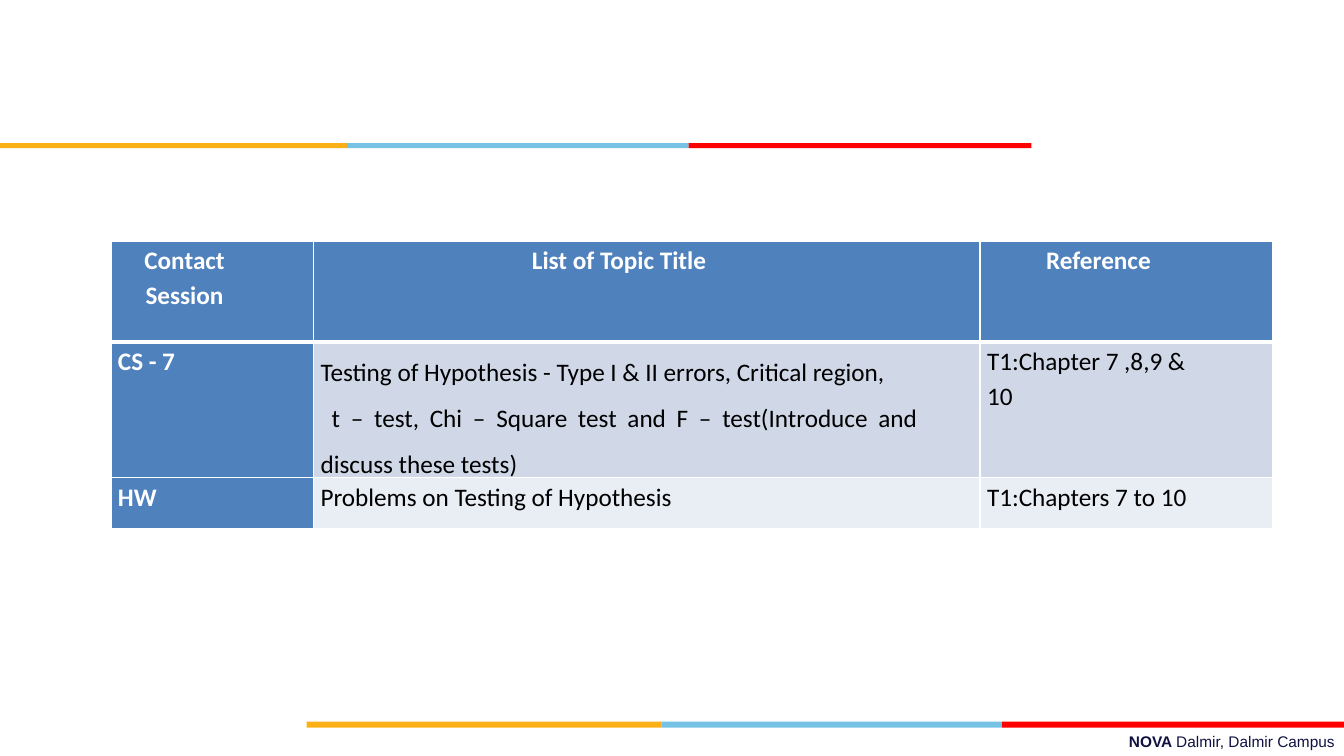
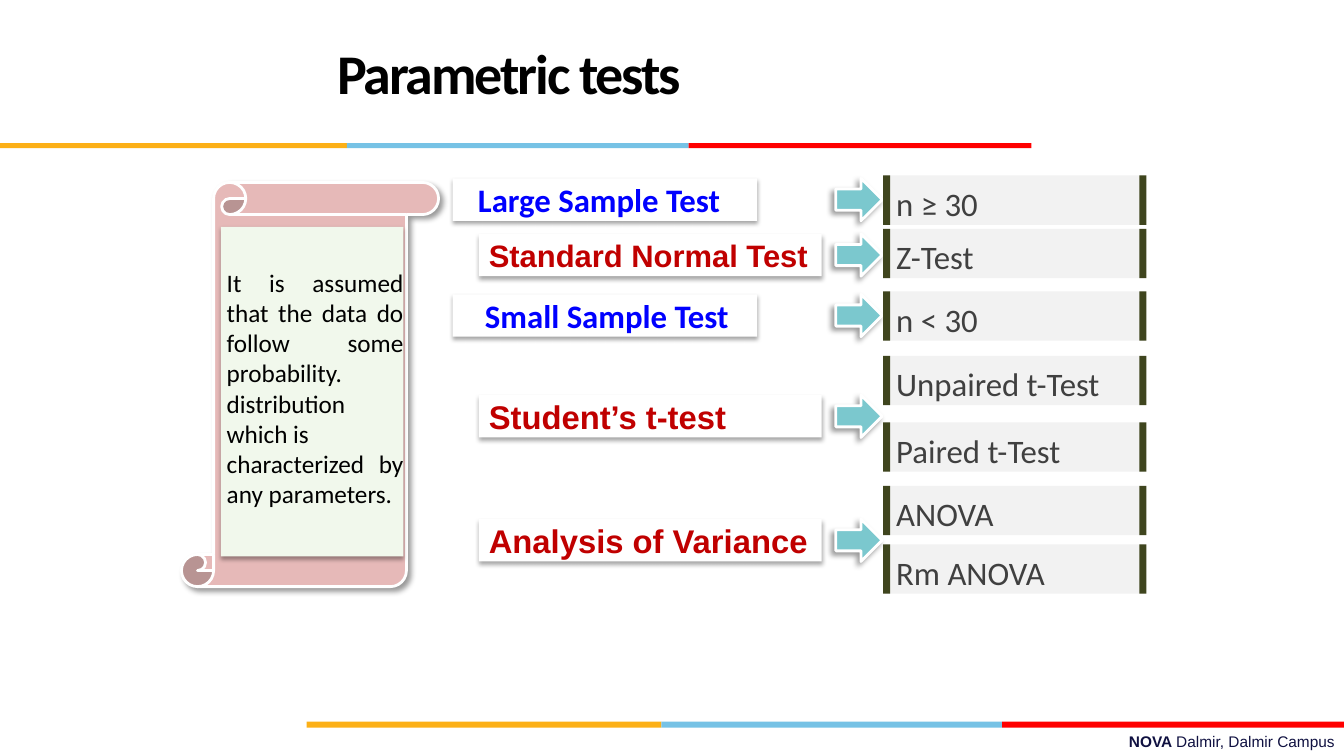
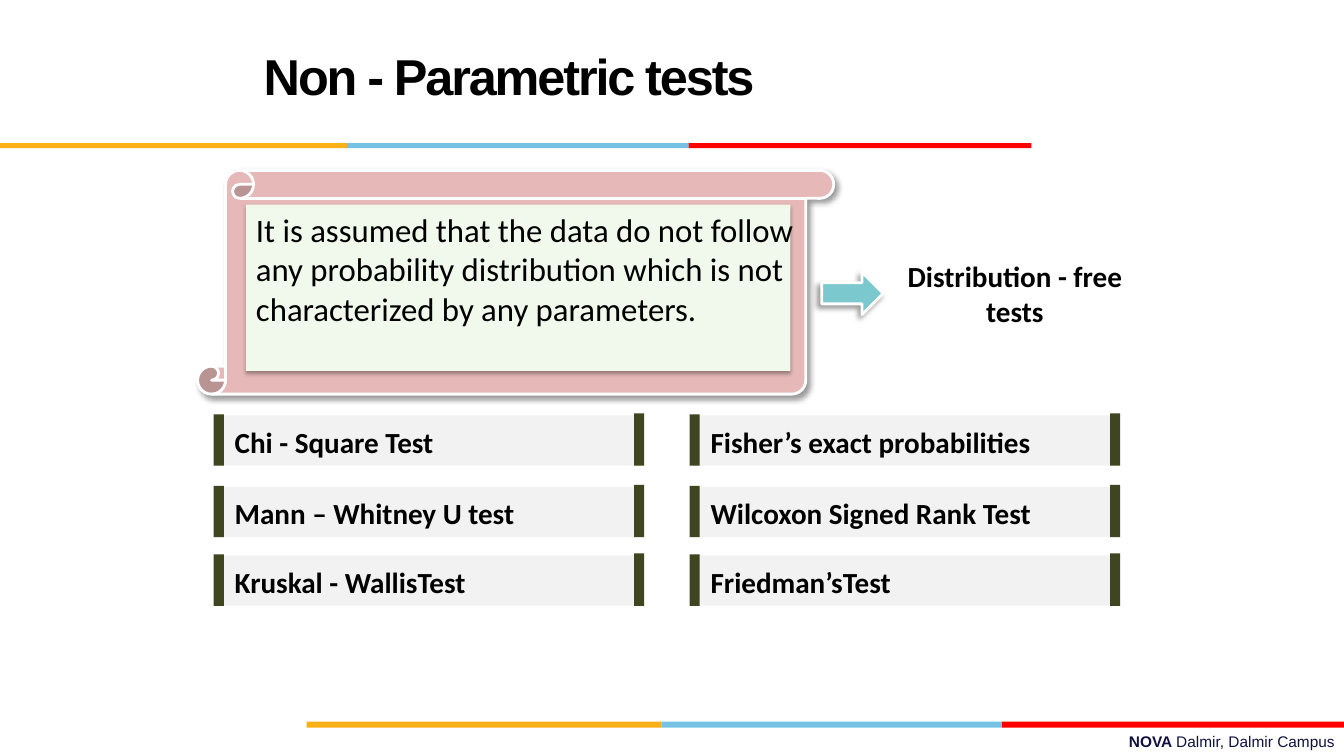
"""Build three slides on testing of hypotheses."""
from dataclasses import dataclass

from lxml import etree
from pptx import Presentation
from pptx.dml.color import RGBColor
from pptx.enum.shapes import MSO_SHAPE
from pptx.enum.text import MSO_ANCHOR, PP_ALIGN
from pptx.oxml.ns import qn
from pptx.util import Pt

EMU_PER_PX = 9144
RECT = MSO_SHAPE.RECTANGLE
PANEL = MSO_SHAPE.ROUND_2_DIAG_RECTANGLE
ARROW = MSO_SHAPE.RIGHT_ARROW
SCROLL = MSO_SHAPE.VERTICAL_SCROLL
TOP, MIDDLE = MSO_ANCHOR.TOP, MSO_ANCHOR.MIDDLE
LEFT, CENTER, RIGHT, JUSTIFY = (
    PP_ALIGN.LEFT, PP_ALIGN.CENTER, PP_ALIGN.RIGHT, PP_ALIGN.JUSTIFY)


@dataclass(frozen=True)
class Theme:
    """Colours, fonts and type sizes of the deck."""
    white: str = "FFFFFF"
    black: str = "000000"
    grey: str = "404040"
    navy: str = "101141"
    blue: str = "0000FF"
    crimson: str = "C00000"
    bands: tuple = ("FCB017", "76C2E5", "FF0000")
    header: str = "4F81BD"
    rows: tuple = ("D0D8E8", "E9EDF4")
    arrow: str = "7BC8CE"
    scroll: str = "E6B9B8"
    panel: str = "F1F8EC"
    card: str = "F2F2F2"
    card_bar: str = "3F451E"
    sans: str = "Arial"
    body: str = "Calibri"
    footer_size: float = 11
    text_size: float = 18
    strong_size: float = 20.8
    label_small: float = 22.1
    label_size: float = 23.4


T = Theme()


@dataclass(frozen=True)
class Style:
    """Font settings of a run."""
    size: float
    color: str = T.black
    bold: bool = False
    font: str = T.body
    spacing: int = 0


@dataclass(frozen=True)
class Card:
    """Measures of a grey card with a dark bar at each end."""
    width: int
    height: int
    bar: int
    rise: int
    text_dx: int
    text_dy: int
    style: Style


CELL = Style(T.text_size)
CELL_HEAD = Style(T.text_size, T.white, True)
BODY = Style(T.label_size)
STRONG = Style(T.strong_size, bold=True)
SAMPLE = Style(T.label_size, T.blue, True)
TEST = Style(T.label_size, T.crimson, True, T.sans)
TEST_SMALL = Style(T.label_small, T.crimson, True, T.sans)
SMALL_CARD = Card(261, 49, 7, 0, 3, 3, Style(T.label_size, T.grey))
WIDE_CARD = Card(427, 50, 10, 1, 11, 4, STRONG)

PANEL_SHADOW = (35, 3.1, 1.8, 90)
ARROW_SHADOW = (40, 4, 3, 135)
SCROLL_SHADOW = (40, 4, 3, 45)


def px(*values):
    """Turn pixel lengths into EMU."""
    return [v * EMU_PER_PX for v in values]


def rgb(color):
    """Return the colour object of a hex string."""
    return RGBColor.from_string(color)


def format_run(r, style):
    """Apply a style to one run."""
    f = r.font
    f.name, f.size, f.bold = style.font, Pt(style.size), style.bold
    f.color.rgb = rgb(style.color)
    if style.spacing:
        f._element.set("spc", str(style.spacing))


def write(tf, lines, style, align=LEFT, spacing=None):
    """Fill a text frame with paragraphs of one style."""
    tf.text = "\n".join(lines)
    for p in tf.paragraphs:
        p.alignment = align
        p.line_spacing = spacing
        for r in p.runs:
            format_run(r, style)


def add_shadow(sp, opacity, blur, distance, angle):
    """Give a shape an outer black shadow."""
    effects = sp._element.spPr.find(qn("a:effectLst"))
    shadow = etree.SubElement(
        effects, qn("a:outerShdw"), blurRad=str(Pt(blur)),
        dist=str(Pt(distance)), dir=str(angle * 60000), rotWithShape="0")
    color = etree.SubElement(shadow, qn("a:srgbClr"), val=T.black)
    etree.SubElement(color, qn("a:alpha"), val=str(opacity * 1000))


def add_box(shapes, kind, box, fill, outline=False, shadow=None):
    """Add a filled preset shape."""
    sp = shapes.add_shape(kind, *px(*box))
    sp.fill.solid()
    sp.fill.fore_color.rgb = rgb(fill)
    if outline:
        sp.line.color.rgb = rgb(T.white)
        sp.line.width = Pt(2)
    else:
        sp.line.fill.background()
    sp.shadow.inherit = False
    if shadow:
        add_shadow(sp, *shadow)
    return sp


def add_text(shapes, box, lines, style, align=LEFT, anchor=TOP, spacing=None):
    """Add a wrapping text box."""
    tf = shapes.add_textbox(*px(*box)).text_frame
    tf.word_wrap = True
    tf.vertical_anchor = anchor
    write(tf, lines, style, align, spacing)
    return tf


def add_panel(shapes, box, fill):
    """Add a square-cornered panel with a soft shadow."""
    sp = add_box(shapes, PANEL, box, fill, shadow=PANEL_SHADOW)
    sp.adjustments[0] = 0
    return sp


def add_label(s, box, text, style, indent=0):
    """Add a white panel with one line of text."""
    tf = add_panel(s.shapes, box, T.white).text_frame
    tf.vertical_anchor = MIDDLE
    write(tf, [text], style)
    tf.margin_left, = px(10 + indent)


def add_arrow(s, x, y, w):
    """Add an arrow that points right."""
    add_box(s.shapes, ARROW, (x, y, w, 42), T.arrow, True, ARROW_SHADOW)


def add_scroll(s, box, panel):
    """Add a scroll with a pale panel on it."""
    shapes = s.shapes.add_group_shape().shapes
    add_box(shapes, SCROLL, box, T.scroll, True, SCROLL_SHADOW)
    add_panel(shapes, panel, T.panel)


def add_card(s, x, y, text, card):
    """Add a grey card with its bars and text."""
    shapes = s.shapes.add_group_shape().shapes
    w, h, bar, rise = card.width, card.height, card.bar, card.rise
    add_box(shapes, RECT, (x + 2, y, w - 4, h), T.card)
    for i, bar_x in enumerate((x, x + w - bar), 1):
        lift = i * rise
        add_box(shapes, RECT, (bar_x, y - lift, bar, h + lift), T.card_bar)
    box = (x + card.text_dx, y + card.text_dy, w - bar, h - card.text_dy)
    add_text(shapes, box, [text], card.style)


def add_bands(s, y, edges, height):
    """Add a strip of three coloured bands between the edges."""
    shapes = s.shapes.add_group_shape().shapes
    for x, end, color in zip(edges, edges[1:], T.bands):
        add_box(shapes, RECT, (x, y, end - x, height), color)


def add_slide(prs, title=None, style=None):
    """Add a blank slide with the bands, footer and title."""
    s = prs.slides.add_slide(prs.slide_layouts[6])
    tf = add_text(s.shapes, (478, 721, 856, 29), ["NOVA "],
                  Style(T.footer_size, T.navy, True, T.sans), RIGHT)
    r = tf.paragraphs[0].add_run()
    r.text = "Dalmir, Dalmir Campus"
    format_run(r, Style(T.footer_size, T.navy, font=T.sans))
    add_bands(s, 716, (304, 656, 994, 1333), 6)
    add_bands(s, 142, (0, 344, 683, 1023), 5)
    if title:
        add_text(s.shapes, (44, 17, 922, 125), [title], style,
                 CENTER, MIDDLE, Pt(36))
    return s


def set_borders(cell, bottom):
    """Draw white borders round a cell."""
    tc_pr = cell._tc.get_or_add_tcPr()
    for side, width in (("L", 1), ("R", 1), ("T", 1), ("B", bottom)):
        ln = etree.SubElement(tc_pr, qn("a:ln" + side), w=str(Pt(width)))
        fill = etree.SubElement(ln, qn("a:solidFill"))
        etree.SubElement(fill, qn("a:srgbClr"), val=T.white)


def set_cell(cell, text, row, col):
    """Fill and format one table cell."""
    is_head = row == 0 or col == 0
    is_topic = (row, col) == (1, 1)
    set_borders(cell, 3 if row == 0 else 1)
    cell.fill.solid()
    cell.fill.fore_color.rgb = rgb(T.header if is_head else T.rows[row - 1])
    cell.margin_left, cell.margin_right = px(7, 62)
    cell.margin_top = cell.margin_bottom = 0
    align = CENTER if row == 0 else JUSTIFY if is_topic else LEFT
    write(cell.text_frame, text.split("\n"), CELL_HEAD if is_head else CELL,
          align, 1.5 if is_topic else 1.15)


def build_sessions(prs):
    """Build the slide with the session table."""
    s = add_slide(prs)
    rows = (
        ("Contact Session", "List of Topic Title", "Reference"),
        ("CS - 7",
         "Testing of Hypothesis - Type I & II errors, Critical region,\n"
         "t – test, Chi – Square test and F – test(Introduce and "
         "discuss these tests)",
         "T1:Chapter 7 ,8,9 & 10"),
        ("HW", "Problems on Testing of Hypothesis", "T1:Chapters 7 to 10"),
    )
    table = s.shapes.add_table(3, 3, *px(110, 239, 1152, 280)).table
    for column, width in zip(table.columns, px(201, 661, 290)):
        column.width = width
    for row, height in zip(table.rows, px(100, 130, 50)):
        row.height = height
    for i, texts in enumerate(rows):
        for j, text in enumerate(texts):
            set_cell(table.cell(i, j), text, i, j)
    tests = table.cell(1, 1).text_frame.paragraphs[1]
    tests._p.get_or_add_pPr().set("indent", str(px(11)[0]))


def build_parametric(prs):
    """Build the slide on parametric tests."""
    s = add_slide(prs, "Parametric tests",
                  Style(40, bold=True, spacing=-150))
    add_scroll(s, (180, 181, 255, 401), (219, 225, 181, 327))
    add_text(s.shapes, (215, 260, 195, 283),
             ["It is assumed that the data do follow some probability. "
              "distribution which is",
              "characterized by any parameters."], CELL, JUSTIFY)
    labels = (
        (449, 177, 302, "Large Sample Test", SAMPLE, 15),
        (475, 232, 340, "Standard Normal Test", TEST_SMALL, 0),
        (449, 292, 302, "Small Sample Test", SAMPLE, 22),
        (475, 392, 340, "Student’s t-test", TEST, 0),
        (475, 515, 340, "Analysis of Variance", TEST, 0),
    )
    for x, y, w, text, style, indent in labels:
        add_label(s, (x, y, w, 42), text, style, indent)
        add_arrow(s, 829, y, 46)
    cards = ((174, "n ≥ 30"), (227, "Z-Test"), (289, "n < 30"),
             (353, "Unpaired t-Test"), (419, "Paired t-Test"),
             (482, "ANOVA"), (540, "Rm ANOVA"))
    for y, text in cards:
        add_card(s, 876, y, text, SMALL_CARD)


def build_non_parametric(prs):
    """Build the slide on non-parametric tests."""
    s = add_slide(prs, "Non - Parametric tests",
                  Style(36, bold=True, font=T.sans, spacing=-150))
    add_scroll(s, (196, 169, 631, 222), (244, 203, 540, 165))
    add_text(s.shapes, (244, 203, 571, 165),
             ["It is assumed that the data do not follow any probability "
              "distribution which is not characterized by any parameters."],
             BODY)
    add_arrow(s, 815, 270, 61)
    add_text(s.shapes, (876, 251, 261, 80), ["Distribution - free tests"],
             STRONG, CENTER)
    rows = (
        (412, "Chi - Square Test", "Fisher’s exact probabilities"),
        (483, "Mann – Whitney U test", "Wilcoxon Signed Rank Test"),
        (551, "Kruskal - WallisTest", "Friedman’sTest"),
    )
    for y, *texts in rows:
        for col, text in enumerate(texts):
            add_card(s, 212 + 472 * col, y, text, WIDE_CARD)


def main():
    """Build and save the deck."""
    prs = Presentation()
    prs.slide_width, prs.slide_height = px(1333, 750)
    build_sessions(prs)
    build_parametric(prs)
    build_non_parametric(prs)
    prs.save("out.pptx")


if __name__ == "__main__":
    main()
